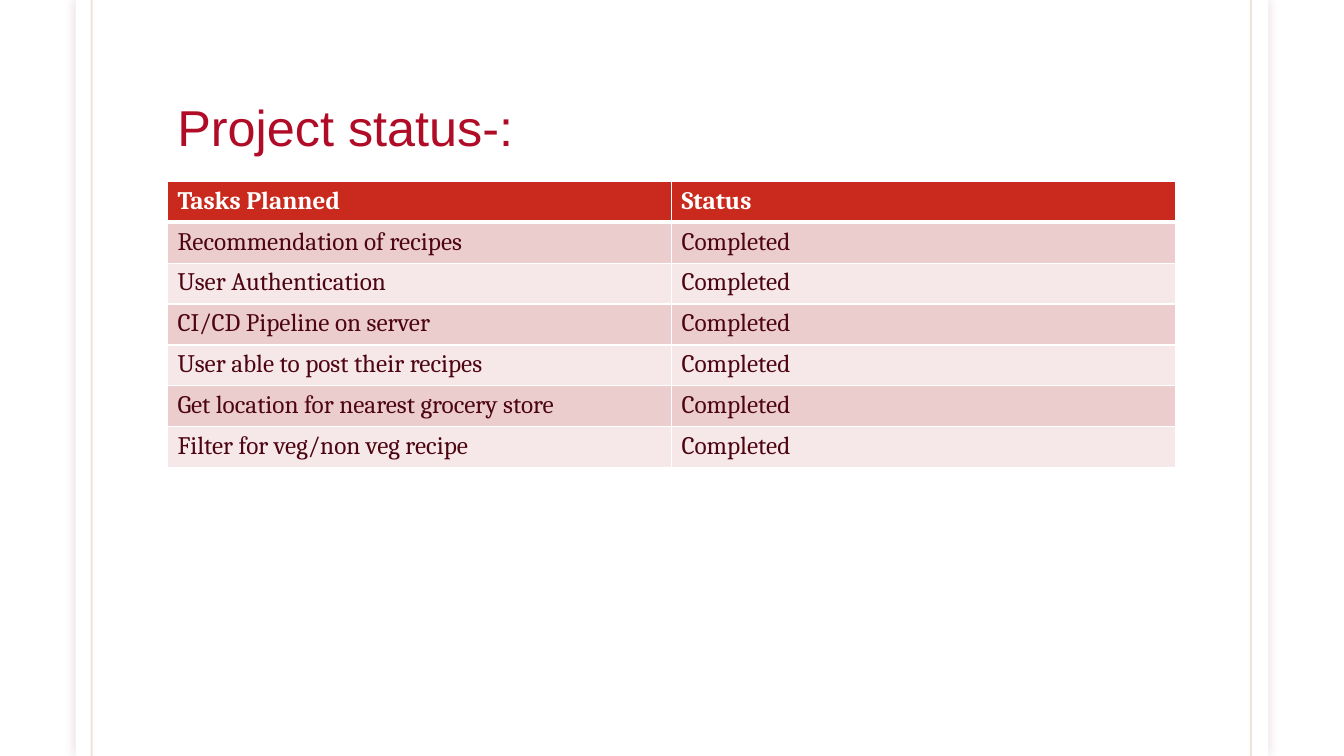
from lxml import etree
from pptx import Presentation
from pptx.dml.color import RGBColor
from pptx.enum.shapes import MSO_CONNECTOR, MSO_SHAPE
from pptx.enum.text import MSO_ANCHOR
from pptx.oxml.ns import qn
from pptx.util import Pt

STRAIGHT = MSO_CONNECTOR.STRAIGHT
RECTANGLE = MSO_SHAPE.RECTANGLE
BOTTOM = MSO_ANCHOR.BOTTOM

WHITE = RGBColor(0xFF, 0xFF, 0xFF)
SHADOW = RGBColor(0x65, 0x15, 0x0F)
RULE = RGBColor(0x79, 0x54, 0x0B)
CRIMSON = RGBColor(0xB1, 0x0C, 0x27)
HEADER = RGBColor(0xCA, 0x2A, 0x1E)
BODY_TEXT = RGBColor(0x4D, 0x05, 0x11)
BANDS = (RGBColor(0xF6, 0xE8, 0xE8), RGBColor(0xEC, 0xCD, 0xCD))

WIDTH, HEIGHT = 960, 540
LEFT, CONTENT_WIDTH = 119.6, 720
ROW_HEIGHT = 29.2

TASKS = (
    "Recommendation of recipes",
    "User Authentication",
    "CI/CD Pipeline on server",
    "User able to post their recipes",
    "Get location for nearest grocery store",
    "Filter for veg/non veg recipe",
)


def add_color(parent, color, alpha=100):
    element = etree.SubElement(parent, qn("a:srgbClr"), val=str(color))
    if alpha < 100:
        etree.SubElement(element, qn("a:alpha"), val=str(alpha * 1000))


class StatusSlide:
    heading_font = "Arial"
    body_font = "Cambria"

    def __init__(self, slide):
        self.slide = slide

    def style(self, paragraph, font, size, color, bold=False):
        paragraph.font.name = font
        paragraph.font.size = Pt(size)
        paragraph.font.color.rgb = color
        paragraph.font.bold = bold

    def page(self, left, width):
        shape = self.slide.shapes.add_shape(RECTANGLE, Pt(left), 0, Pt(width), Pt(HEIGHT))
        shape.fill.solid()
        shape.fill.fore_color.rgb = WHITE
        shape.line.fill.background()
        # Soft shadow on both sides
        shape.shadow.inherit = False
        effects = shape.element.spPr.find(qn("a:effectLst"))
        shadow = etree.SubElement(effects, qn("a:outerShdw"), blurRad=str(Pt(7)), dist="0", dir="0")
        add_color(shadow, SHADOW, 15)

    def vertical_rule(self, x):
        rule = self.slide.shapes.add_connector(STRAIGHT, Pt(x), 0, Pt(x), Pt(HEIGHT))
        rule.line.width = Pt(1.5)
        rule.line.color.rgb = RULE
        properties = rule.element.spPr
        color = next(properties.iter(qn("a:srgbClr")))
        etree.SubElement(color, qn("a:alpha"), val="15000")
        etree.SubElement(properties, qn("a:effectLst"))

    def title(self, text, top, height):
        shape = self.slide.shapes.add_textbox(Pt(LEFT), Pt(top), Pt(CONTENT_WIDTH), Pt(height))
        frame = shape.text_frame
        frame.word_wrap = True
        frame.vertical_anchor = BOTTOM
        paragraph = frame.paragraphs[0]
        paragraph.text = text
        paragraph.line_spacing = 0.85
        self.style(paragraph, self.heading_font, 36, CRIMSON)

    def borders(self, cell, top, bottom):
        properties = cell._tc.get_or_add_tcPr()
        widths = {"a:lnL": 1, "a:lnR": 1, "a:lnT": top, "a:lnB": bottom}
        for index, (tag, width) in enumerate(widths.items()):
            line = etree.Element(qn(tag), w=str(Pt(width)))
            add_color(etree.SubElement(line, qn("a:solidFill")), WHITE)
            properties.insert(index, line)

    def table(self, rows, top):
        columns = len(rows[0])
        table = self.slide.shapes.add_table(
            len(rows), columns, Pt(LEFT), Pt(top), Pt(CONTENT_WIDTH), Pt(ROW_HEIGHT * len(rows))
        ).table
        for row_index, texts in enumerate(rows):
            is_header = row_index == 0
            table.rows[row_index].height = Pt(ROW_HEIGHT)
            for column_index, text in enumerate(texts):
                cell = table.cell(row_index, column_index)
                cell.text = text
                cell.fill.solid()
                cell.fill.fore_color.rgb = HEADER if is_header else BANDS[row_index % 2]
                color = WHITE if is_header else BODY_TEXT
                self.style(cell.text_frame.paragraphs[0], self.body_font, 18, color, is_header)
                # Thick line between header and body
                self.borders(cell, 3 if row_index == 1 else 1, 3 if is_header else 1)


def main():
    presentation = Presentation()
    presentation.slide_width, presentation.slide_height = Pt(WIDTH), Pt(HEIGHT)
    status = StatusSlide(presentation.slides.add_slide(presentation.slide_layouts[6]))

    # Page frame
    status.page(54, 852)
    for x in (65.5, 893.5):
        status.vertical_rule(x)

    # Heading and task table
    status.title("Project status-:", 25.2, 90)
    status.table([("Tasks Planned", "Status")] + [(task, "Completed") for task in TASKS], 129.6)

    presentation.save("out.pptx")


if __name__ == "__main__":
    main()
